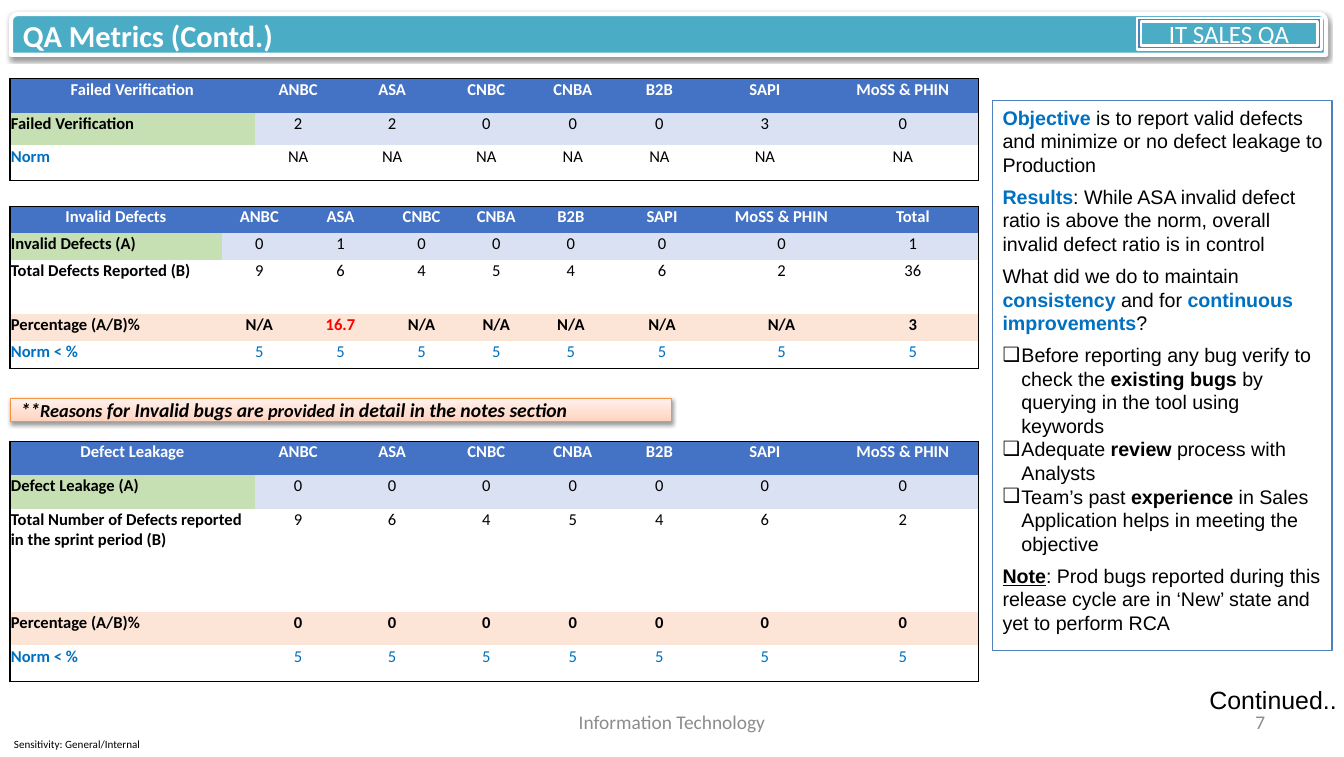
from lxml.etree import SubElement
from pptx import Presentation
from pptx.dml.color import RGBColor
from pptx.enum.shapes import MSO_SHAPE as Shape
from pptx.enum.text import MSO_ANCHOR as Anchor, MSO_AUTO_SIZE as Fit, PP_ALIGN as Align
from pptx.oxml.ns import qn
from pptx.util import Inches, Pt

BLACK = RGBColor(0, 0, 0)
WHITE = RGBColor(255, 255, 255)
RED = RGBColor(255, 0, 0)
GRAY = RGBColor(0x8C, 0x8C, 0x8C)
BLUE = RGBColor(0x00, 0x70, 0xC0)
TEAL = RGBColor(0x4B, 0xAC, 0xC6)
STEEL = RGBColor(0x4F, 0x81, 0xBD)
NAVY = RGBColor(0x44, 0x72, 0xC4)
GREEN = RGBColor(0xC6, 0xE0, 0xB4)
PALE = RGBColor(0xD9, 0xE1, 0xF2)
PEACH = RGBColor(0xFC, 0xE4, 0xD6)
ORANGE = RGBColor(0xF6, 0x92, 0x40)
BLEND = [(0, "FFD2BD"), (35, "FFDED0"), (100, "FFF2ED")]

KEY = {"color": BLUE, "bold": True}
BOLD = {"bold": True}
SMALL = {"size": 13.2}

TEAMS = ["ANBC", "ASA", "CNBC", "CNBA", "B2B", "SAPI", "MoSS & PHIN"]
COUNTS = ["9", "6", "4", "5", "4", "6", "2"]
WIDE = [2.46, 0.87, 1.02, 0.87, 0.87, 0.87, 1.25, 1.52]
SLIM = [2.13, 0.75, 0.88, 0.75, 0.75, 0.75, 1.08, 1.32, 1.32]

STYLES = {
    "head": (NAVY, NAVY, WHITE, WHITE, True),
    "main": (GREEN, PALE, BLACK, BLACK, False),
    "plain": (None, None, BLACK, BLACK, False),
    "rate": (PEACH, PEACH, BLACK, BLACK, True),
    "norm": (None, None, BLUE, BLUE, False),
    "none": (None, None, BLUE, BLACK, False),
}

TABLES = [
    (0.79, WIDE, [
        ("head", 0.34, "Failed Verification", TEAMS),
        ("main", 0.33, "Failed Verification", ["2", "2", "0", "0", "0", "3", "0"]),
        ("none", 0.35, "Norm", ["NA"] * 7),
    ]),
    (2.07, SLIM, [
        ("head", 0.27, "Invalid Defects", TEAMS + ["Total"]),
        ("main", 0.27, "Invalid Defects (A)", ["0", "1", "0", "0", "0", "0", "0", "1"]),
        ("plain", 0.54, "Total Defects Reported (B)", COUNTS + ["36"]),
        ("rate", 0.27, "Percentage (A/B)%", ["N/A", "16.7"] + ["N/A"] * 5 + ["3"]),
        ("norm", 0.28, "Norm < %", ["5"] * 8),
    ]),
    (4.43, WIDE, [
        ("head", 0.34, "Defect Leakage", TEAMS),
        ("main", 0.34, "Defect Leakage (A)", ["0"] * 7),
        ("plain", 1.03, "Total Number of Defects reported in the sprint period (B)", COUNTS),
        ("rate", 0.34, "Percentage (A/B)%", ["0"] * 7),
        ("norm", 0.36, "Norm < %", ["5"] * 7),
    ]),
]

NOTES = [
    (False, 6.1, [("Objective ", KEY), "is to report valid defects and minimize or no defect leakage to Production"]),
    (False, 6.1, [("Results", KEY),
                  ": While ASA invalid defect ratio is above the norm, overall invalid defect ratio is in control"]),
    (False, 6.1, ["What did we do to maintain ", ("consistency", KEY), " and for ",
                  ("continuous improvements", KEY), "?"]),
    (True, 0, ["Before reporting any bug verify to check the ", ("existing bugs", BOLD),
               " by querying in the tool using keywords"]),
    (True, 0, ["Adequate ", ("review", BOLD), " process with Analysts"]),
    (True, 6.1, ["Team’s past ", ("experience", BOLD), " in Sales Application helps in meeting the objective"]),
    (False, 0, [("Note", {"bold": True, "under": True}),
                ": Prod bugs reported during this release cycle are in ‘New’ state and yet to perform RCA"]),
]
REASONS = ["**", ("Reasons", SMALL), " for Invalid bugs are ", ("provided", SMALL), " in detail in the notes section"]

LABELS = [
    ("Sensitivity: General/Internal", (0.14, 7.35, 1.41, 0.25), {"size": 8}, (0, 0)),
    ("Information Technology", (4.61, 7.05, 4.28, 0.4), {"size": 14, "color": GRAY, "align": Align.CENTER}, (0.12, 0.12)),
    ("7", (9.68, 7.05, 3.15, 0.4), {"size": 14, "color": GRAY, "align": Align.RIGHT}, (0.12, 0.12)),
    ("Continued..", (12.05, 6.82, 1.45, 0.41), {"size": 18, "font": "Arial"}, (0.1, 0)),
]


def write(para, text, align=Align.LEFT, **form):
    para.alignment = align
    para.space_before = Pt(0)
    for part in [text] if isinstance(text, str) else text:
        words, extra = (part, {}) if isinstance(part, str) else part
        look = {**form, **extra}
        run = para.add_run()
        run.text = words
        face = run.font
        face.size = Pt(look.get("size", 12))
        face.name = look.get("font", "Calibri")
        face.color.rgb = look.get("color", BLACK)
        face.bold = look.get("bold", False)
        face.italic = look.get("italic", False)
        face.underline = look.get("under", False)


def place(item, box):
    item.left, item.top, item.width, item.height = map(Inches, box)


def setup(item, anchor=Anchor.MIDDLE, sides=(0.1, 0.1)):
    frame = item.text_frame
    frame.word_wrap = True
    frame.auto_size = Fit.NONE
    frame.vertical_anchor = anchor
    frame.margin_left, frame.margin_right = map(Inches, sides)
    frame.margin_top = frame.margin_bottom = Inches(0.05)
    return frame


def draw(slide, kind, box, fill, line, width, shade=False):
    item = slide.shapes.add_shape(kind, *map(Inches, box))
    item.shadow.inherit = False
    if fill is None:
        item.fill.gradient()
        grad = item._element.spPr.find(qn("a:gradFill"))
        stops = grad.find(qn("a:gsLst"))
        stops.clear()
        for pos, tint in BLEND:
            stop = SubElement(stops, qn("a:gs"), pos=str(pos * 1000))
            SubElement(stop, qn("a:srgbClr"), val=tint)
        grad.find(qn("a:lin")).set("ang", "16200000")
    else:
        item.fill.solid()
        item.fill.fore_color.rgb = fill
    item.line.color.rgb = line
    item.line.width = Pt(width)
    if shade:
        glow = SubElement(item._element.spPr.find(qn("a:effectLst")), qn("a:outerShdw"),
                          blurRad=str(Pt(3.1)), dist=str(Pt(1.6)), dir="5400000", rotWithShape="0")
        tint = SubElement(glow, qn("a:srgbClr"), val="000000")
        SubElement(tint, qn("a:alpha"), val="38000")
    return item


def edge(cell, side):
    line = SubElement(cell._tc.get_or_add_tcPr(), qn("a:ln" + side), w=str(Pt(1)))
    SubElement(SubElement(line, qn("a:solidFill")), qn("a:srgbClr"), val="000000")


def grid(slide, top, cols, rows):
    high = sum(row[1] for row in rows)
    item = slide.shapes.add_table(len(rows), len(cols), *map(Inches, (0.1, top, sum(cols), high)))
    table = item.table
    table.first_row = table.horz_banding = False
    table._tbl.tblPr.find(qn("a:tableStyleId")).text = "{2D5ABB26-0587-4C30-8999-92F81FD0307C}"
    for c, width in enumerate(cols):
        table.columns[c].width = Inches(width)
    for r, (style, height, label, vals) in enumerate(rows):
        table.rows[r].height = Inches(height)
        left, right, ink, tone, bold = STYLES[style]
        for c, text in enumerate([label] + vals):
            cell = table.cell(r, c)
            cell.margin_left = cell.margin_right = cell.margin_top = Inches(0.01)
            cell.margin_bottom = 0
            sides = [("L", c == 0), ("R", c == len(cols) - 1), ("T", r == 0), ("B", r == len(rows) - 1)]
            for side, outer in sides:
                if outer:
                    edge(cell, side)
            fill = right if c else left
            if fill is None:
                cell.fill.background()
            else:
                cell.fill.solid()
                cell.fill.fore_color.rgb = fill
            color = RED if text == "16.7" else tone if c else ink
            align = Align.CENTER if c or style == "head" else Align.LEFT
            write(cell.text_frame.paragraphs[0], text, align=align, color=color, bold=bold or c == 0)


def main():
    deck = Presentation()
    deck.slide_width, deck.slide_height = Inches(13.5), Inches(7.6)
    slide = deck.slides.add_slide(deck.slide_layouts[1])
    title, body = slide.placeholders

    for text, box, form, sides in LABELS:
        item = slide.shapes.add_textbox(*map(Inches, box))
        write(setup(item, sides=sides).paragraphs[0], text, **form)

    draw(slide, Shape.ROUND_2_SAME_RECTANGLE, (0.11, 0.14, 13.21, 0.41), TEAL, WHITE, 3, shade=True)
    place(title, (0.13, 0.15, 11.2, 0.41))
    write(setup(title).paragraphs[0], "QA Metrics (Contd.)", size=22, color=WHITE, bold=True)
    slide.shapes._spTree.append(title._element)

    badge = draw(slide, Shape.FRAME, (11.42, 0.18, 1.85, 0.32), STEEL, WHITE, 2)
    write(setup(badge).paragraphs[0], "IT SALES QA", size=18, color=WHITE, align=Align.CENTER)

    place(body, (9.97, 1.01, 3.41, 5.52))
    body.line.color.rgb = STEEL
    body.line.width = Pt(0.75)
    frame = setup(body, Anchor.TOP, (0.1, 0.05))
    for n, (mark, after, runs) in enumerate(NOTES):
        para = frame.add_paragraph() if n else frame.paragraphs[0]
        props = para._p.get_or_add_pPr()
        dent = Inches(0.19) if mark else 0
        props.set("marL", str(dent))
        props.set("indent", str(-dent))
        if mark:
            SubElement(props, qn("a:buChar"), char="❑")
        else:
            SubElement(props, qn("a:buNone"))
        para.line_spacing = 1.0
        para.space_after = Pt(after)
        write(para, runs, size=14.2, font="Arial")

    strip = draw(slide, Shape.RECTANGLE, (0.11, 4, 6.64, 0.23), None, ORANGE, 0.75, shade=True)
    write(setup(strip).paragraphs[0], REASONS, size=14.2, bold=True, italic=True)

    for top, cols, rows in TABLES:
        grid(slide, top, cols, rows)
    deck.save("out.pptx")


if __name__ == "__main__":
    main()
